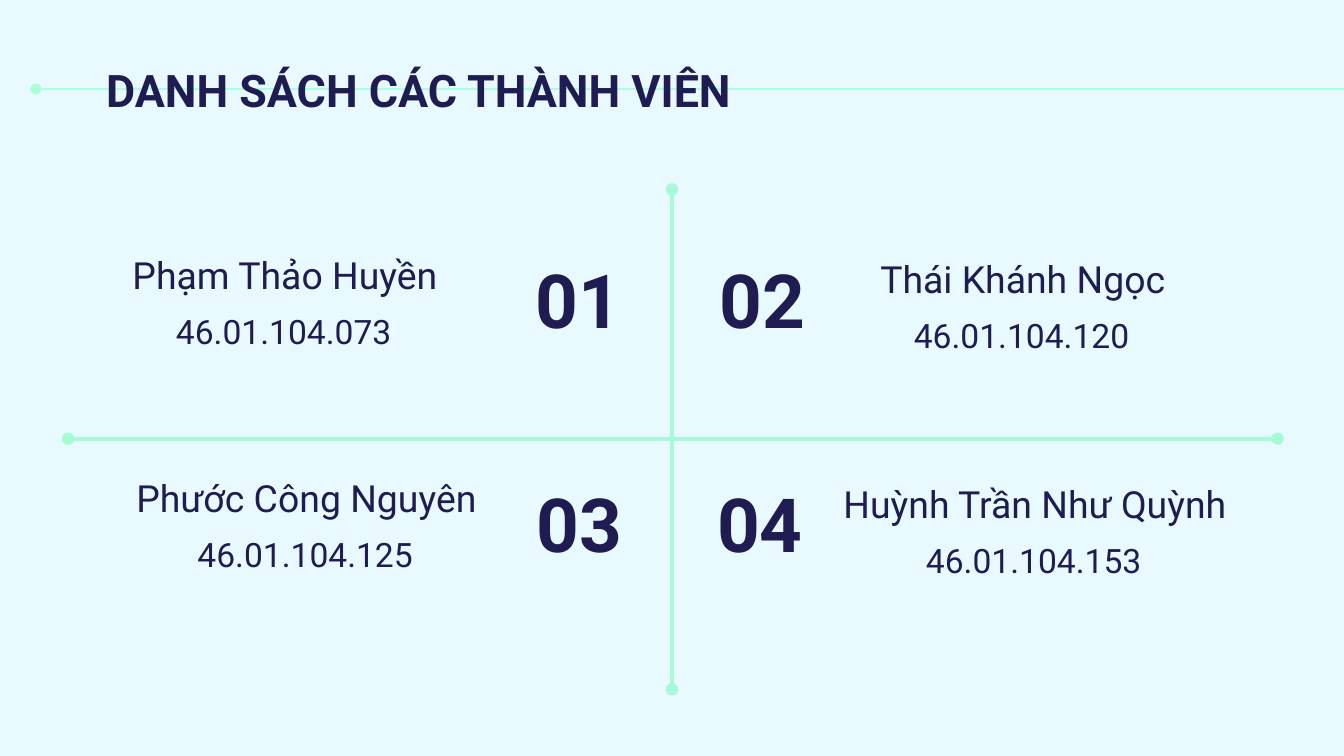
from dataclasses import dataclass

from lxml.etree import SubElement
from pptx import Presentation
from pptx.dml.color import RGBColor as Rgb
from pptx.enum.shapes import MSO_CONNECTOR as Link
from pptx.enum.text import MSO_ANCHOR as Anchor, MSO_AUTO_SIZE as Fit, PP_ALIGN as Align
from pptx.oxml.ns import qn
from pptx.util import Pt


@dataclass(frozen=True)
class Theme:
    back: Rgb = Rgb.from_string("E8F9FF")
    ink: Rgb = Rgb.from_string("1F1C51")
    rule: Rgb = Rgb.from_string("ACFFD9")
    cross: Rgb = Rgb.from_string("A6FBD4")
    font: str = "Roboto"
    title: int = 24
    number: int = 40
    name: int = 20
    code: int = 18


THEME = Theme()

# number, name, code, number box (left, top, width), name box (left, top, width)
MEMBERS = [
    ("01", "Phạm Thảo Huyền", "46.01.104.073", (278.6, 129, 62.6), (31.7, 129, 242)),
    ("02", "Thái Khánh Ngọc", "46.01.104.120", (377.3, 129, 62.6), (440, 131, 216)),
    ("04", "Huỳnh Trần Như Quỳnh", "46.01.104.153", (375.8, 249, 62.6), (438.5, 252, 232)),
    ("03", "Phước Công Nguyên", "46.01.104.125", (276.5, 249, 67.7), (49.7, 248.4, 229)),
]


def set_text(shape, text, size, bold=False, align=Align.CENTER):
    frame = shape.text_frame
    frame.text = text
    frame.word_wrap = True
    frame.auto_size = Fit.NONE
    frame.vertical_anchor = Anchor.MIDDLE
    frame.margin_left = frame.margin_right = Pt(7.2)
    frame.margin_top = frame.margin_bottom = Pt(7.2)
    para = frame.paragraphs[0]
    para.alignment = align
    font = para.runs[0].font
    font.name, font.size, font.bold = THEME.font, Pt(size), bold
    font.color.rgb = THEME.ink


def add_label(group, text, box, size, bold=False):
    label = group.shapes.add_textbox(*map(Pt, box))
    set_text(label, text, size, bold)


def add_rule(slide, ends, color, width, dots):
    """Draw a line with an oval at each end named in dots."""
    line = slide.shapes.add_connector(Link.STRAIGHT, *map(Pt, ends))
    line.line.color.rgb = color
    line.line.width = Pt(width)
    stroke = line.line._get_or_add_ln()
    for dot in dots:
        SubElement(stroke, qn(f"a:{dot}"), type="oval")
    SubElement(line._element.spPr, qn("a:effectLst"))


def add_title(slide, text):
    title = slide.shapes.title
    title.left, title.top = Pt(49.7), Pt(26.6)
    title.width, title.height = Pt(479), Pt(42.5)
    set_text(title, text, THEME.title, True, Align.LEFT)


def add_member(slide, number, name, code, spot, area):
    group = slide.shapes.add_group_shape()
    left, top, width = area
    add_label(group, number, (*spot, 62), THEME.number, True)
    add_label(group, name, (*area, 36), THEME.name)
    add_label(group, code, (left + 8, top + 31, width - 17.5, 34.5), THEME.code)


def main():
    deck = Presentation()
    deck.slide_width, deck.slide_height = Pt(720), Pt(405)
    slide = deck.slides.add_slide(deck.slide_layouts[5])
    fill = slide.background.fill
    fill.solid()
    fill.fore_color.rgb = THEME.back

    add_rule(slide, (19.2, 47.7, 720, 47.7), THEME.rule, 1.5, ["headEnd"])
    for ends in [(360, 101.5, 360, 369.3), (36.5, 235, 684.5, 235)]:
        add_rule(slide, ends, THEME.cross, 2.25, ["headEnd", "tailEnd"])
    for member in MEMBERS:
        add_member(slide, *member)

    add_title(slide, "DANH SÁCH CÁC THÀNH VIÊN")
    tree = slide.shapes._spTree
    tree.append(slide.shapes.title._element)  # the title lies over the rule
    deck.save("out.pptx")


if __name__ == "__main__":
    main()
